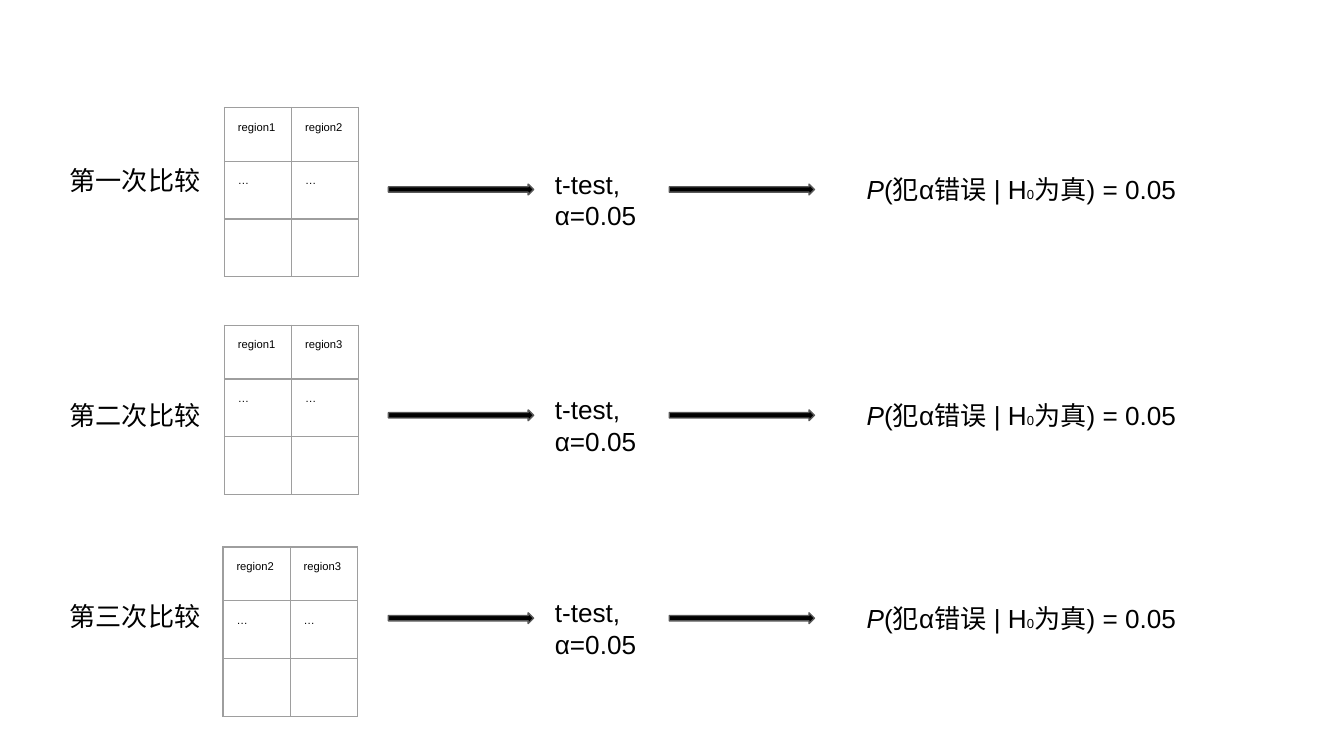
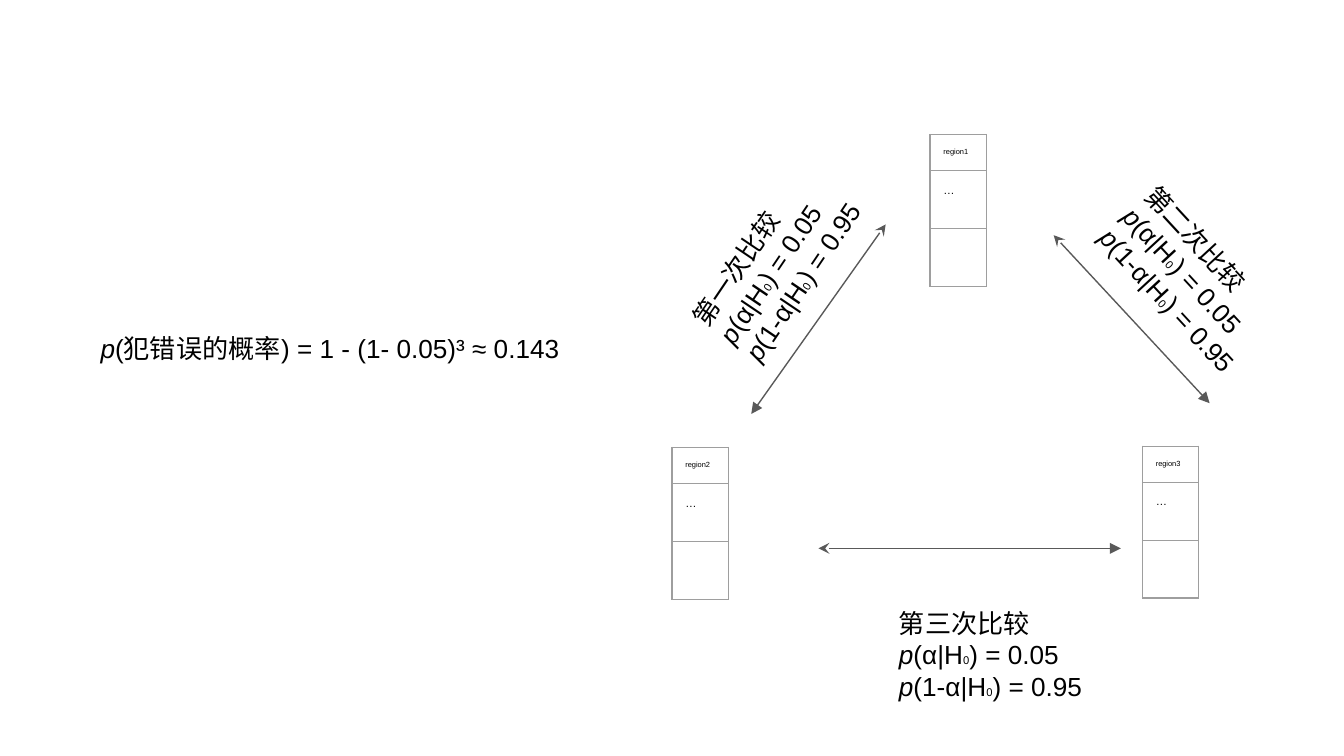
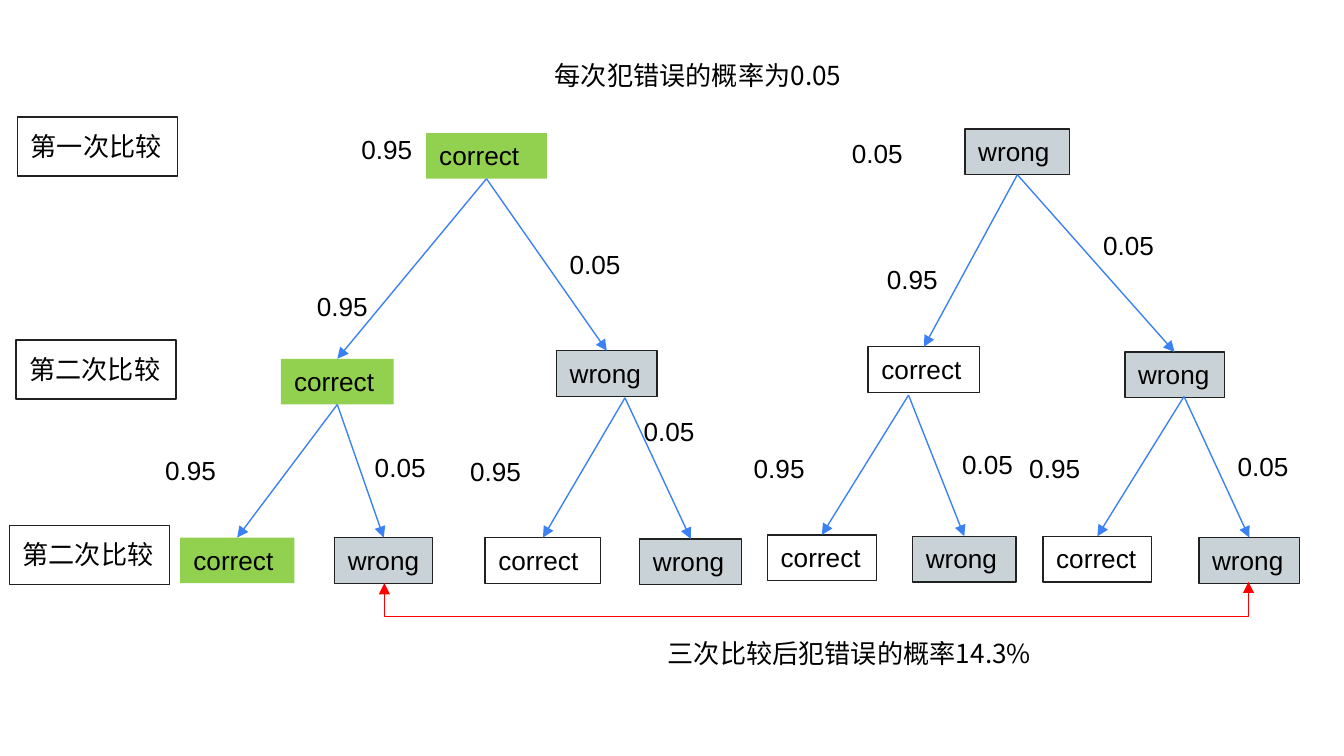
from collections import namedtuple

from lxml import etree
from pptx import Presentation
from pptx.dml.color import RGBColor
from pptx.enum.shapes import MSO_CONNECTOR, MSO_SHAPE
from pptx.enum.text import MSO_ANCHOR, MSO_AUTO_SIZE, PP_ALIGN
from pptx.oxml.ns import qn
from pptx.util import Inches, Pt

RECTANGLE = MSO_SHAPE.RECTANGLE
RIGHT_ARROW = MSO_SHAPE.RIGHT_ARROW
STRAIGHT = MSO_CONNECTOR.STRAIGHT
ELBOW = MSO_CONNECTOR.ELBOW
GROW = MSO_AUTO_SIZE.SHAPE_TO_FIT_TEXT
TOP = MSO_ANCHOR.TOP
LEFT = PP_ALIGN.LEFT

LATIN = "Arial"
CJK = "Noto Sans CJK SC"
BLACK = "000000"
WHITE = "FFFFFF"
GRID = "9E9E9E"
GRAY = "595959"
OUTLINE = "212121"
GREEN = "92D050"
SILVER = "C9D3D7"
BLUE = "3C81F3"
RED = "FF0000"
HAIRLINE = 0.75
SLIDE_WIDTH = 10
BOX_HEIGHT = 0.34
LABEL_HEIGHT = 0.44

Part = namedtuple("Part", "text font size italic", defaults=(LATIN, 14, False))
Branch = namedtuple("Branch", "left top width fill outlined odds fork", defaults=(None,))

COMPARISONS = ["第一次比较", "第二次比较", "第三次比较"]


def color(value):
    return RGBColor.from_string(value)


def add_runs(paragraph, parts):
    paragraph.alignment = LEFT
    for part in parts:
        run = paragraph.add_run()
        run.text = part.text
        run.font.size = Pt(part.size)
        run.font.italic = part.italic
        run.font.color.rgb = color(BLACK)
        run.font.name = part.font
        etree.SubElement(run._r.get_or_add_rPr(), qn("a:ea"), typeface=part.font)


def fill_text(shape, paragraphs, inset):
    frame = shape.text_frame
    frame.word_wrap = True
    frame.auto_size = GROW
    frame.vertical_anchor = TOP
    frame.margin_left = frame.margin_right = Inches(0.1)
    frame.margin_top = frame.margin_bottom = Inches(inset)
    for index, parts in enumerate(paragraphs):
        paragraph = frame.add_paragraph() if index else frame.paragraphs[0]
        add_runs(paragraph, parts)


def add_text(slide, left, top, width, height, paragraphs, inset=0.1, rotation=0):
    box = slide.shapes.add_textbox(Inches(left), Inches(top), Inches(width), Inches(height))
    box.rotation = rotation
    fill_text(box, paragraphs, inset)


def add_preset(slide, preset, left, top, width, height, fill=None, line=None):
    shape = slide.shapes.add_shape(preset, Inches(left), Inches(top), Inches(width), Inches(height))
    shape.shadow.inherit = False
    if fill:
        shape.fill.solid()
        shape.fill.fore_color.rgb = color(fill)
    else:
        shape.fill.background()
    if line:
        shape.line.color.rgb = color(line)
        shape.line.width = Pt(HAIRLINE)
    else:
        shape.line.fill.background()
    return shape


def add_box(slide, left, top, width, height, part, fill=None, line=OUTLINE, inset=0.05):
    box = add_preset(slide, RECTANGLE, left, top, width, height, fill, line)
    fill_text(box, [[part]], inset)
    return box


def add_line(slide, start, end, line, head=None, tail="triangle", kind=STRAIGHT):
    connector = slide.shapes.add_connector(kind, *(Inches(value) for value in (*start, *end)))
    connector.line.color.rgb = color(line)
    connector.line.width = Pt(HAIRLINE)
    outline = connector.line._get_or_add_ln()
    for tag, arrowhead in (("a:headEnd", head), ("a:tailEnd", tail)):
        if arrowhead:
            etree.SubElement(outline, qn(tag), type=arrowhead)
    etree.SubElement(connector._element.spPr, qn("a:effectLst"))
    return connector


def border_cell(cell):
    properties = cell._tc.get_or_add_tcPr()
    for side in ("a:lnL", "a:lnR", "a:lnT", "a:lnB"):
        edge = etree.SubElement(properties, qn(side), w=str(Pt(HAIRLINE)))
        paint = etree.SubElement(edge, qn("a:solidFill"))
        etree.SubElement(paint, qn("a:srgbClr"), val=GRID)
    cell.fill.background()


def add_region_table(slide, left, top, regions, column, header, size):
    heights = [header, 0.43, 0.43]
    table = slide.shapes.add_table(
        len(heights), len(regions), Inches(left), Inches(top),
        Inches(column * len(regions)), Inches(sum(heights))).table
    table.first_row = False
    table.horz_banding = False
    for row, height in zip(table.rows, heights):
        row.height = Inches(height)
    for index, region in enumerate(regions):
        table.columns[index].width = Inches(column)
        for row, part in enumerate([Part(region, size=size), Part("…", size=6), None]):
            cell = table.cell(row, index)
            border_cell(cell)
            cell.margin_left = cell.margin_right = Inches(0.1)
            cell.margin_top = cell.margin_bottom = Inches(0.1 if part else 0.05)
            if part:
                add_runs(cell.text_frame.paragraphs[0], [part])


def build_tests(slide):
    error_odds = [
        Part("P", italic=True), Part("("), Part("犯", CJK), Part("α"), Part("错误", CJK),
        Part(" | H"), Part("0", size=7), Part("为真", CJK), Part(") = 0.05")]
    tests = [
        (1.12, 1.67, 0.8, 1.37, ["region1", "region2"]),
        (2.87, 1.67, 2.42, 3.05, ["region1", "region3"]),
        (4.37, 1.66, 4.07, 4.56, ["region2", "region3"])]
    for name, (label_top, table_left, table_top, arrow_top, regions) in zip(COMPARISONS, tests):
        add_region_table(slide, table_left, table_top, regions, 0.5, 0.4, 6)
        add_text(slide, 0.42, label_top, 1.33, LABEL_HEIGHT, [[Part(name, CJK)]])
        for arrow_left in (2.89, 4.98):
            add_preset(slide, RIGHT_ARROW, arrow_left, arrow_top, 1.08, 0.08, BLACK, GRAY)
        add_text(slide, 4.03, arrow_top - 0.22, 0.95, 0.67, [[Part("t-test, α=0.05")]])
        add_text(slide, 6.35, arrow_top - 0.18, 2.82, LABEL_HEIGHT, [error_odds])


def odds_line(event, value):
    return [Part("p", italic=True), Part(f"({event}|H"), Part("0", size=6), Part(f") = {value}")]


def build_triangle(slide):
    for region, left, top in (("region1", 6.92, 1), ("region2", 5, 3.33), ("region3", 8.5, 3.32)):
        add_region_table(slide, left, top, [region], 0.42, 0.27, 4)
    sides = [
        (4.97, 1.46, 1.69, 304, (6.59, 1.67), (5.59, 3.08)),
        (8.02, 1.75, 1.9, 47.4, (7.84, 1.75), (9, 3)),
        (6.59, 4.42, 1.84, 0, (6.09, 4.08), (8.34, 4.08))]
    for name, (left, top, width, rotation, start, end) in zip(COMPARISONS, sides):
        caption = [[Part(name, CJK)], odds_line("α", "0.05"), odds_line("1-α", "0.95")]
        add_text(slide, left, top, width, 0.91, caption, rotation=rotation)
        add_line(slide, start, end, GRAY, head="stealth")
    add_text(slide, 0.65, 2.37, 3.83, LABEL_HEIGHT, [[
        Part("p", italic=True), Part("("), Part("犯错误的概率", CJK),
        Part(") = 1 - (1- 0.05)³ ≈ 0.143")]])


def add_outcome(slide, branch, is_correct):
    part = Part("correct" if is_correct else "wrong")
    box = add_box(slide, branch.left, branch.top, branch.width, BOX_HEIGHT, part,
                  branch.fill, OUTLINE if branch.outlined else None)
    odds = Part("0.95" if is_correct else "0.05")
    add_text(slide, *branch.odds, 0.9, BOX_HEIGHT, [[odds]], inset=0.05)
    return box


def add_fork(slide, parent, origin, branches):
    outcomes = []
    for index, branch in enumerate(branches):
        outcome = add_outcome(slide, branch, index == 0)
        start = origin or (0, 0)
        link = add_line(slide, start, (branch.left + branch.width / 2, branch.top), BLUE)
        if origin is None:
            link.begin_connect(parent, 2)
        link.end_connect(outcome, 0)
        outcomes.append(outcome)
    return outcomes


def correct(left, top, width, odds, fork=None, fill=None):
    return Branch(left, top, width, fill, fill is None, odds, fork)


def wrong(left, top, width, odds, fork=None):
    return Branch(left, top, width, SILVER, True, odds, fork)


def add_total_bracket(slide):
    bracket = add_line(slide, (6.08, 7.55), (6.07, 1.12), RED, head="triangle", kind=ELBOW)
    bracket._element.spPr.find(qn("a:xfrm")).set("rot", str(90 * 60000))
    guides = bracket._element.spPr.find(qn("a:prstGeom")).find(qn("a:avLst"))
    etree.SubElement(guides, qn("a:gd"), name="adj1", fmla="val -2500000")


def build_tree(slide):
    for name, left, top in (("第一次比较", 0.13, 0.87), ("第二次比较", 0.12, 2.53),
                            ("第二次比较", 0.07, 3.91)):
        add_box(slide, left, top, 1.19, LABEL_HEIGHT, Part(name, CJK), inset=0.1)
    first = [
        correct(3.17, 0.99, 0.9, (2.59, 0.94), fill=GREEN),
        wrong(7.18, 0.96, 0.78, (6.24, 0.97))]
    second = [
        [correct(2.09, 2.67, 0.84, (2.26, 2.11), fill=GREEN),
         wrong(4.14, 2.61, 0.75, (4.14, 1.8), (4.65, 2.96))],
        [correct(6.46, 2.58, 0.83, (6.5, 1.91), (6.76, 2.94)),
         wrong(8.37, 2.62, 0.74, (8.11, 1.66), (8.81, 2.95))]]
    third = [
        [correct(1.34, 4, 0.85, (1.13, 3.33), fill=GREEN), wrong(2.49, 4, 0.73, (2.69, 3.31))],
        [correct(3.61, 4, 0.86, (3.4, 3.34)), wrong(4.76, 4.01, 0.76, (4.69, 3.04))],
        [correct(5.71, 3.98, 0.81, (5.51, 3.32)), wrong(6.79, 3.99, 0.77, (7.06, 3.29))],
        [correct(7.76, 3.99, 0.81, (7.56, 3.32)), wrong(8.92, 4, 0.75, (9.11, 3.3))]]
    last_forks = iter(third)
    for index, (root, branches) in enumerate(zip(first, second)):
        root_box = add_outcome(slide, root, index == 0)
        outcomes = add_fork(slide, root_box, root.fork, branches)
        for outcome, branch in zip(outcomes, branches):
            add_fork(slide, outcome, branch.fork, next(last_forks))
    add_total_bracket(slide)
    add_text(slide, 4.87, 4.69, 3.13, BOX_HEIGHT,
             [[Part("三次比较后犯错误的概率14.3%", CJK)]], inset=0.05)
    add_text(slide, 4.03, 0.39, 2.73, BOX_HEIGHT,
             [[Part("每次犯错误的概率为0.05", CJK)]], inset=0.05)


def main():
    deck = Presentation()
    deck.slide_width = Inches(SLIDE_WIDTH)
    deck.slide_height = Inches(SLIDE_WIDTH * 9 / 16)
    background = deck.slide_master.background.fill
    background.solid()
    background.fore_color.rgb = color(WHITE)
    blank = deck.slide_layouts[6]
    for build in (build_tests, build_triangle, build_tree):
        build(deck.slides.add_slide(blank))
    deck.save("out.pptx")


if __name__ == "__main__":
    main()
